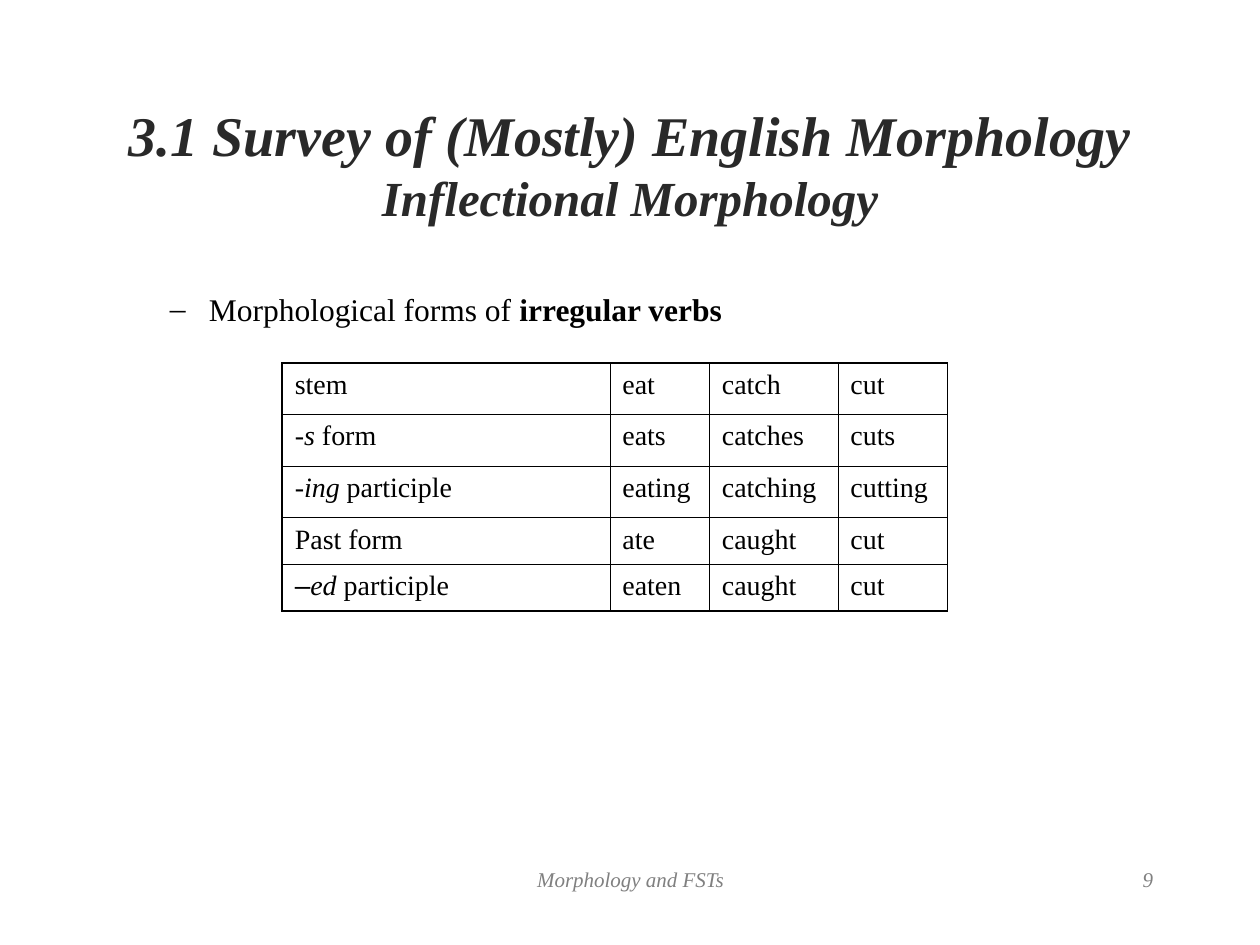
from lxml import etree
from pptx import Presentation
from pptx.dml.color import RGBColor
from pptx.enum import text
from pptx.oxml import ns
from pptx.util import Inches, Pt

COLORS = {"title": "292929", "body": "000000", "footer": "808080"}
FONT = "Times New Roman"
THIN, THICK = 0.45, 1.08
COLUMN_WIDTHS = [2.6, 0.79, 1.02, 0.87]
ROW_HEIGHTS = [0.41, 0.41, 0.41, 0.37, 0.37]
VERB_FORMS = [
    [["stem"], "eat", "catch", "cut"],
    [["-", ("s", {"italic": True}), " form"], "eats", "catches", "cuts"],
    [["-", ("ing", {"italic": True}), " participle"], "eating", "catching", "cutting"],
    [["Past form"], "ate", "caught", "cut"],
    [[("–", {"font": "Arial"}), ("ed", {"italic": True}), " participle"], "eaten", "caught", "cut"],
]


def add_text(paragraph, content, size, color, font=FONT, bold=False, italic=False):
    """Append a formatted run to a paragraph."""
    run = paragraph.add_run()
    run.text = content
    run.font.name, run.font.size = font, Pt(size)
    run.font.bold, run.font.italic = bold, italic
    run.font.color.rgb = RGBColor.from_string(COLORS[color])


def add_box(slide, box, align=text.PP_ALIGN.LEFT, anchor=text.MSO_ANCHOR.TOP):
    """Add a wrapping text box and return its first paragraph."""
    frame = slide.shapes.add_textbox(*map(Inches, box)).text_frame
    frame.word_wrap = True
    frame.vertical_anchor = anchor
    frame.paragraphs[0].alignment = align
    return frame.paragraphs[0]


def add_title(slide, box):
    """Add the two-line heading."""
    paragraph = add_box(slide, box, text.PP_ALIGN.CENTER, text.MSO_ANCHOR.MIDDLE)
    style = {"color": "title", "bold": True, "italic": True}
    add_text(paragraph, "3.1 Survey of (Mostly) English Morphology", 32, **style)
    paragraph.add_line_break()
    add_text(paragraph, "Inflectional Morphology", 28, **style)


def add_bullet(slide, box):
    """Add the dashed line that introduces the table."""
    paragraph = add_box(slide, box)
    properties = paragraph._p.get_or_add_pPr()
    properties.set("marL", str(Inches(0.81)))
    properties.set("indent", str(Inches(-0.31)))
    etree.SubElement(properties, ns.qn("a:buFont"), typeface=FONT)
    etree.SubElement(properties, ns.qn("a:buChar"), char="–")
    add_text(paragraph, "Morphological forms of ", 18, "body")
    add_text(paragraph, "irregular verbs", 18, "body", bold=True)


def set_borders(cell, widths):
    """Draw the four cell borders with the given widths in points."""
    properties = cell._tc.get_or_add_tcPr()
    for position, (side, width) in enumerate(widths.items()):
        line = etree.Element(ns.qn(f"a:ln{side}"), w=str(Pt(width)))
        fill = etree.SubElement(line, ns.qn("a:solidFill"))
        etree.SubElement(fill, ns.qn("a:srgbClr"), val=COLORS["body"])
        properties.insert(position, line)


def add_verb_table(slide, box):
    """Add the table of irregular verb forms with a heavier outer frame."""
    last_row, last_column = len(ROW_HEIGHTS) - 1, len(COLUMN_WIDTHS) - 1
    table = slide.shapes.add_table(last_row + 1, last_column + 1, *map(Inches, box)).table
    table.first_row = table.horz_banding = False
    for column, width in zip(table.columns, COLUMN_WIDTHS):
        column.width = Inches(width)
    for row, height in zip(table.rows, ROW_HEIGHTS):
        row.height = Inches(height)
    for i, forms in enumerate(VERB_FORMS):
        for j, parts in enumerate(forms):
            cell = table.cell(i, j)
            cell.fill.background()
            for part in [parts] if isinstance(parts, str) else parts:
                content, style = (part, {}) if isinstance(part, str) else part
                add_text(cell.text_frame.paragraphs[0], content, 16, "body", **style)
            outer = {"L": j == 0, "R": j == last_column, "T": i == 0, "B": i == last_row}
            set_borders(cell, {side: THICK if edge else THIN for side, edge in outer.items()})


def add_footer(slide, box, content, align):
    """Add one grey footer entry."""
    add_text(add_box(slide, box, align), content, 12, "footer", italic=True)


def main():
    """Build and save the slide."""
    presentation = Presentation()
    presentation.slide_width, presentation.slide_height = Inches(10), Inches(7.5)
    slide = presentation.slides.add_slide(presentation.slide_layouts[6])
    add_footer(slide, (3.42, 6.83, 3.17, 0.5), "Morphology and FSTs", text.PP_ALIGN.CENTER)
    add_footer(slide, (7.17, 6.83, 2.08, 0.5), "9", text.PP_ALIGN.RIGHT)
    add_title(slide, (0.75, 0.67, 8.5, 1.25))
    add_bullet(slide, (0.75, 2.25, 8.5, 0.63))
    add_verb_table(slide, (2.24, 2.88, sum(COLUMN_WIDTHS), sum(ROW_HEIGHTS)))
    presentation.save("out.pptx")


if __name__ == "__main__":
    main()
